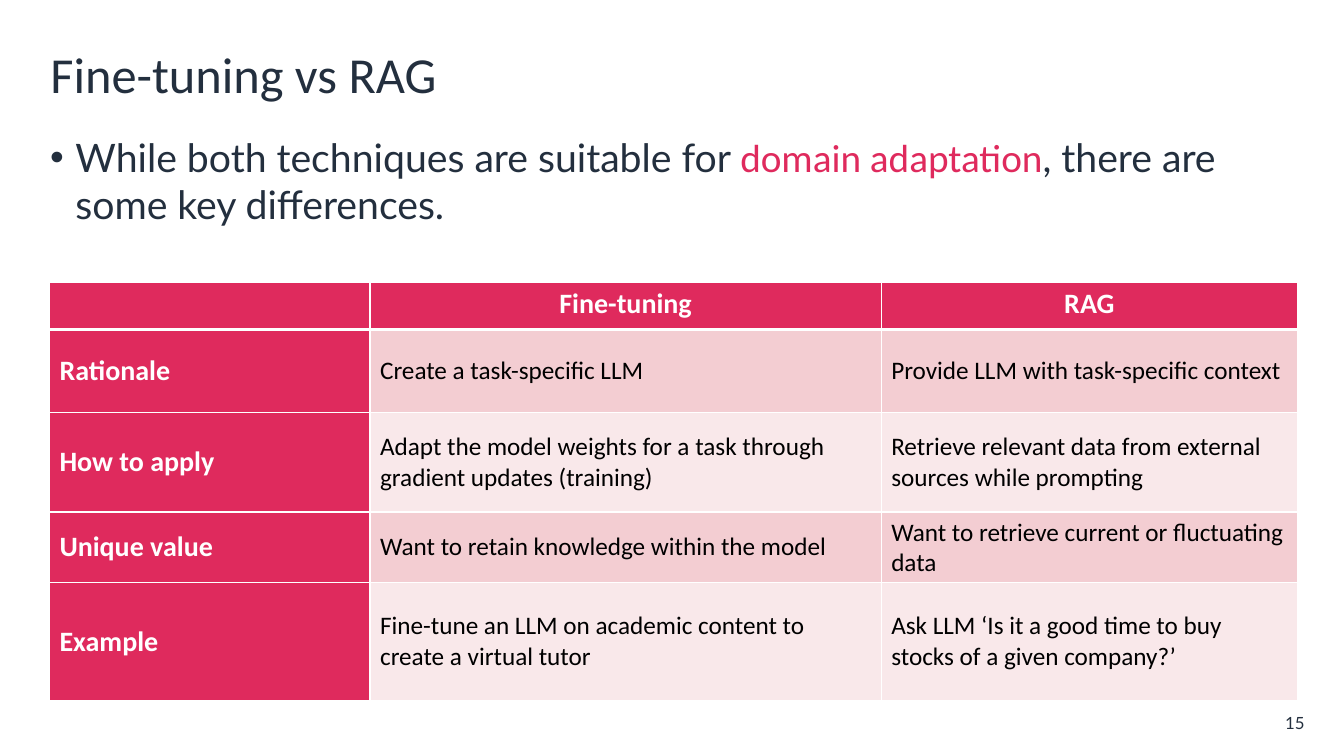
from dataclasses import dataclass

from lxml import etree
from pptx import Presentation
from pptx.dml.color import RGBColor
from pptx.enum.text import MSO_ANCHOR, MSO_AUTO_SIZE, PP_ALIGN
from pptx.oxml.ns import qn
from pptx.util import Inches, Pt

LEFT, CENTER, RIGHT = PP_ALIGN.LEFT, PP_ALIGN.CENTER, PP_ALIGN.RIGHT
TOP, MIDDLE = MSO_ANCHOR.TOP, MSO_ANCHOR.MIDDLE
NO_AUTOFIT = MSO_AUTO_SIZE.NONE
TITLE_ONLY = 5


@dataclass(frozen=True)
class Theme:
    ink: str = "232F3E"
    accent: str = "DF2A5D"
    white: str = "FFFFFF"
    black: str = "000000"
    bands: tuple = ("F3CDD2", "F9E8EA")
    main_font: str = "Calibri"
    second_font: str = "Lato"
    title_size: int = 36
    body_size: int = 28
    header_size: int = 20
    cell_size: int = 18
    number_size: int = 12
    rule: int = 1
    header_rule: int = 3


class SlideBuilder:
    def __init__(self, deck, theme):
        self.theme = theme
        self.slide = deck.slides.add_slide(deck.slide_layouts[TITLE_ONLY])

    def style(self, font, name, size, color, bold=False):
        font.name, font.size, font.bold = name, Pt(size), bold
        font.color.rgb = RGBColor.from_string(color)

    def title(self, text, left, top, width, height):
        box = self.slide.shapes.title
        box.left, box.top = Inches(left), Inches(top)
        box.width, box.height = Inches(width), Inches(height)
        frame = box.text_frame
        frame.text = text
        frame.auto_size = NO_AUTOFIT
        frame.vertical_anchor = MIDDLE
        para = frame.paragraphs[0]
        para.alignment = LEFT
        self.style(para.font, self.theme.main_font, self.theme.title_size, self.theme.ink)

    def text_box(self, left, top, width, height, anchor, alignment):
        box = self.slide.shapes.add_textbox(
            Inches(left), Inches(top), Inches(width), Inches(height))
        frame = box.text_frame
        frame.word_wrap = True
        frame.vertical_anchor = anchor
        frame.paragraphs[0].alignment = alignment
        return frame

    def bullet(self, spans, left, top, width, height):
        para = self.text_box(left, top, width, height, TOP, LEFT).paragraphs[0]
        properties = para._p.get_or_add_pPr()
        properties.set("marL", str(Inches(0.25)))
        properties.set("indent", str(-Inches(0.25)))
        bullet_color = etree.SubElement(properties, qn("a:buClr"))
        etree.SubElement(bullet_color, qn("a:srgbClr"), val=self.theme.ink)
        etree.SubElement(properties, qn("a:buFont"), typeface="Arial")
        etree.SubElement(properties, qn("a:buChar"), char="•")
        for text, font_name, color in spans:
            span = para.add_run()
            span.text = text
            self.style(span.font, font_name, self.theme.body_size, color)

    def page_number(self, text, left, top, width, height):
        frame = self.text_box(left, top, width, height, MIDDLE, RIGHT)
        frame.margin_left = frame.margin_right = 0
        frame.margin_top = frame.margin_bottom = 0
        para = frame.paragraphs[0]
        para.text = text
        self.style(para.font, self.theme.second_font, self.theme.number_size, self.theme.ink)

    def borders(self, cell, top_width, bottom_width):
        properties = cell._tc.get_or_add_tcPr()
        rule = self.theme.rule
        widths = {"L": rule, "R": rule, "T": top_width, "B": bottom_width}
        for index, (side, width) in enumerate(widths.items()):
            line = etree.Element(qn(f"a:ln{side}"), w=str(Pt(width)))
            fill = etree.SubElement(line, qn("a:solidFill"))
            etree.SubElement(fill, qn("a:srgbClr"), val=self.theme.white)
            properties.insert(index, line)

    def table(self, rows, left, top, column_widths, row_heights):
        theme = self.theme
        table = self.slide.shapes.add_table(
            len(rows), len(column_widths), Inches(left), Inches(top),
            Inches(sum(column_widths)), Inches(sum(row_heights))).table
        for column, width in zip(table.columns, column_widths):
            column.width = Inches(width)
        for row, height in zip(table.rows, row_heights):
            row.height = Inches(height)
        for row_index, texts in enumerate(rows):
            for column_index, text in enumerate(texts):
                cell = table.cell(row_index, column_index)
                is_header = row_index == 0 or column_index == 0
                fill = theme.accent if is_header else theme.bands[(row_index - 1) % 2]
                cell.fill.solid()
                cell.fill.fore_color.rgb = RGBColor.from_string(fill)
                cell.vertical_anchor = TOP if row_index == 0 else MIDDLE
                cell.text = text
                para = cell.text_frame.paragraphs[0]
                para.alignment = CENTER if row_index == 0 else LEFT
                size = theme.header_size if is_header else theme.cell_size
                color = theme.white if is_header else theme.black
                self.style(para.font, theme.main_font, size, color, is_header)
                self.borders(cell,
                             theme.header_rule if row_index == 1 else theme.rule,
                             theme.header_rule if row_index == 0 else theme.rule)


def main():
    deck = Presentation()
    deck.slide_width, deck.slide_height = Inches(13.33), Inches(7.5)
    theme = Theme()
    page = SlideBuilder(deck, theme)

    # Heading and introduction
    page.title("Fine-tuning vs RAG", 0.4, 0.33, 12.54, 0.8)
    page.bullet([
        ("While both techniques are suitable for ", theme.second_font, theme.ink),
        ("domain adaptation", theme.main_font, theme.accent),
        (", there are some key differences.", theme.second_font, theme.ink),
    ], 0.4, 1.27, 12.54, 1.07)

    # Comparison table
    page.table([
        ("", "Fine-tuning", "RAG"),
        ("Rationale", "Create a task-specific LLM",
         "Provide LLM with task-specific context"),
        ("How to apply",
         "Adapt the model weights for a task through gradient updates (training)",
         "Retrieve relevant data from external sources while prompting"),
        ("Unique value", "Want to retain knowledge within the model",
         "Want to retrieve current or fluctuating data"),
        ("Example", "Fine-tune an LLM on academic content to create a virtual tutor",
         "Ask LLM ‘Is it a good time to buy stocks of a given company?’"),
    ], 0.49, 2.8, (3.18, 5.07, 4.13), (0.47, 0.82, 0.99, 0.69, 1.17))

    # Page number
    page.page_number("15", 12.41, 7.05, 0.53, 0.25)

    deck.save("out.pptx")


if __name__ == "__main__":
    main()
